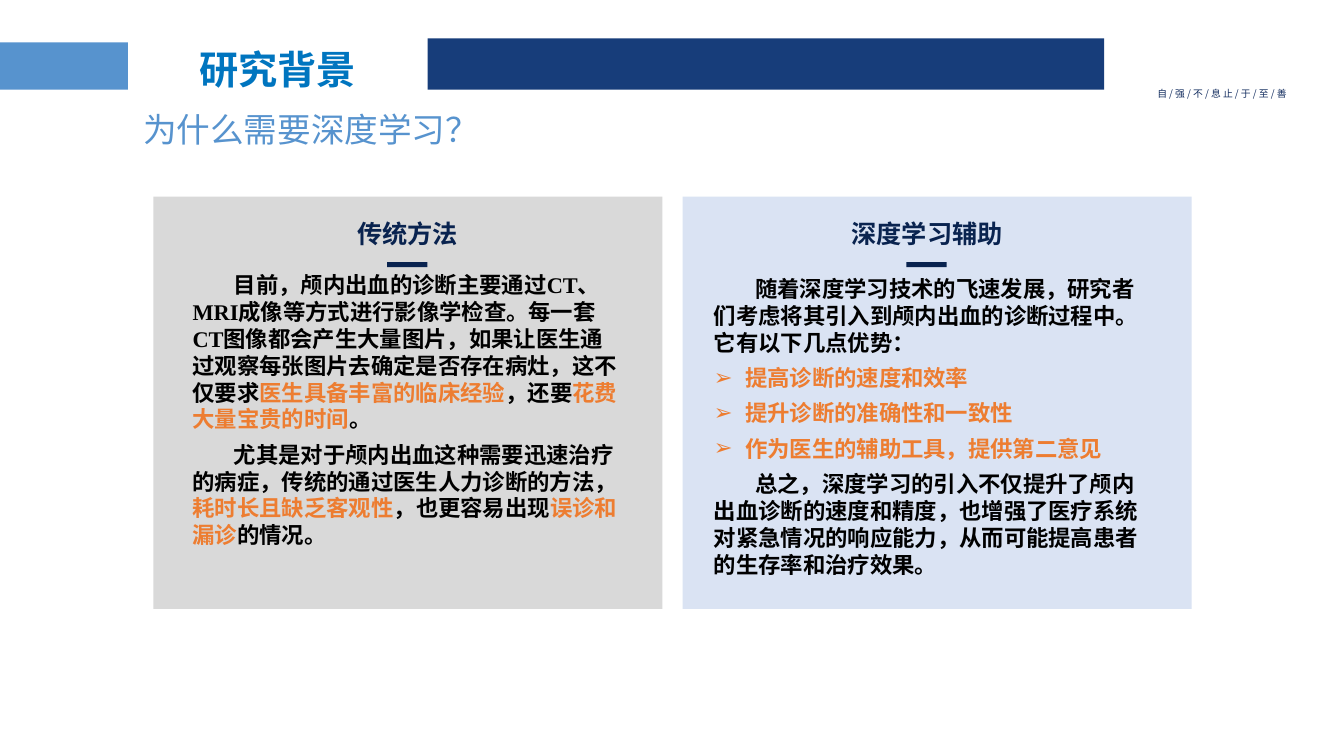
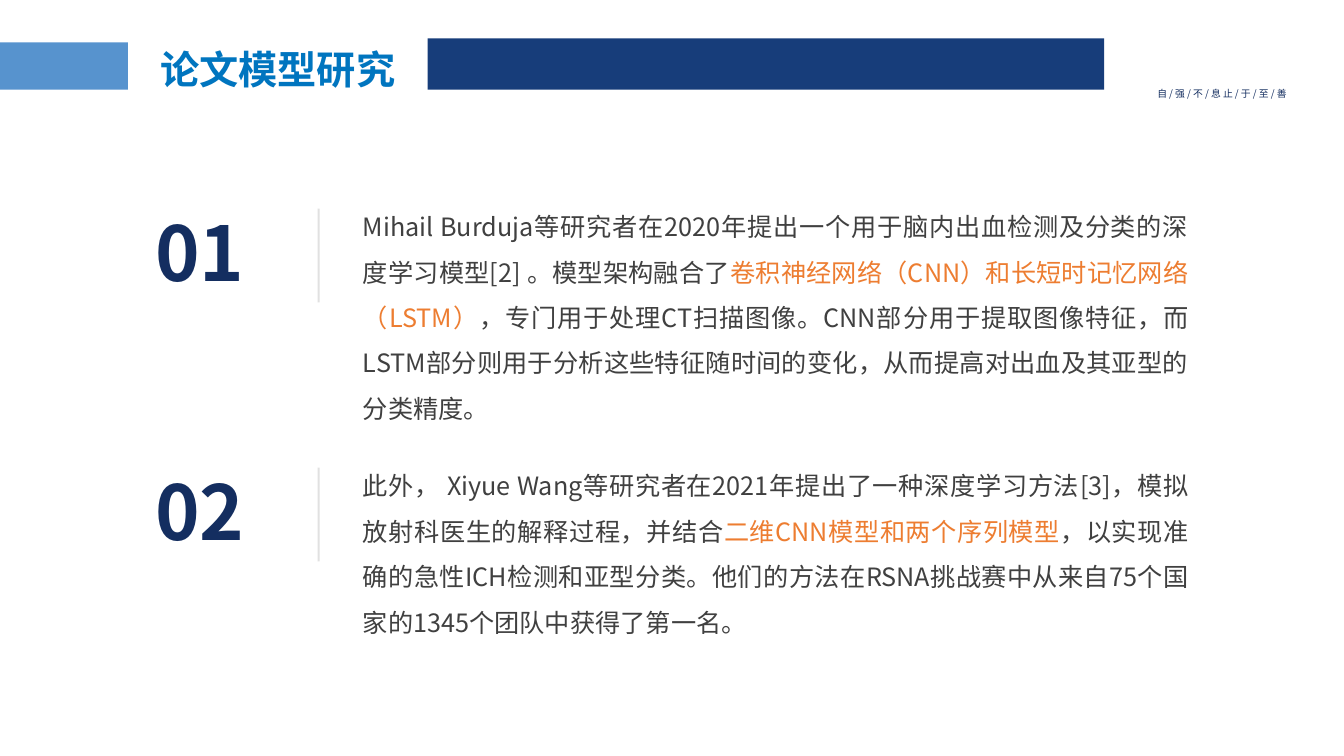
"""Build two slides on deep learning for intracranial haemorrhage diagnosis."""
from dataclasses import dataclass
from typing import NamedTuple

from lxml import etree
from pptx import Presentation
from pptx import util as u
from pptx.dml.color import RGBColor
from pptx.enum import shapes, text
from pptx.oxml import ns

PX = 9144
SANS, SERIF = "Noto Sans CJK SC", "Times New Roman"
COLORS = {
    "band": "173D7A", "tab": "5793CE", "title": "0075BF", "motto": "142E60",
    "heading": "09234F", "grey": "D9D9D9", "pale": "DAE3F3", "rule": "A5A5A5",
    "black": "000000", "body": "404040", "orange": "ED7D31",
}
LEFT, CENTER, JUSTIFY = text.PP_ALIGN.LEFT, text.PP_ALIGN.CENTER, text.PP_ALIGN.JUSTIFY
RECT, ROUND = shapes.MSO_SHAPE.RECTANGLE, shapes.MSO_SHAPE.ROUNDED_RECTANGLE


class Area(NamedTuple):
    """Left, top, width and height in px."""
    left: int
    top: int
    width: int
    height: int

    def emu(self) -> list:
        """Return the four lengths in EMU."""
        return [u.Emu(value * PX) for value in self]


class Span(NamedTuple):
    """A piece of text in one colour."""
    words: str
    color: str


@dataclass(frozen=True)
class Para:
    """Spans of one paragraph with its margin, first-line indent and bullet."""
    spans: tuple
    margin: int = 0
    indent: int = 0
    bullet: str = ""


@dataclass(frozen=True)
class Style:
    """Text format of a whole box."""
    size: int
    font: str = SANS
    bold: bool = False
    align: text.PP_ALIGN = LEFT
    line: float = 1.0
    before: int = 0
    inset: int = 10
    anchor: text.MSO_ANCHOR = text.MSO_ANCHOR.TOP


@dataclass(frozen=True)
class Panel:
    """A coloured column with a heading and its text."""
    left: int
    fill: str
    axis: int
    heading: str
    heading_width: int
    area: Area
    paras: tuple


@dataclass(frozen=True)
class Study:
    """A numbered study and the height of its text."""
    number: str
    height: int
    spans: tuple


TITLE = Style(28, bold=True, align=CENTER, line=0.9)
SUBTITLE = Style(24, line=0.9)
MOTTO = Style(7)
HEADING = Style(18, bold=True, align=CENTER, anchor=text.MSO_ANCHOR.MIDDLE)
PANEL_TEXT = Style(16, SERIF, True, before=6)
NUMBER = Style(54, bold=True)
STUDY_TEXT = Style(18, align=JUSTIFY, line=1.5, inset=0)


def plain(words: str, color: str) -> tuple:
    """Return a single paragraph of one colour."""
    return (Para((Span(words, color),)),)


def indented(*spans: Span) -> Para:
    """Return a paragraph with an indented first line."""
    return Para(spans, indent=41)


def arrow_item(words: str) -> Para:
    """Return an orange list item with an arrow bullet."""
    return Para((Span(words, "orange"),), margin=31, indent=-31, bullet="➢")


PANELS = (
    Panel(152, "grey", 404, "传统方法", 143, Area(181, 264, 447, 288), (
        indented(
            Span("目前，颅内出血的诊断主要通过CT、MRI成像等方式进行影像学检查。每一套CT图像都会产生"
                 "大量图片，如果让医生通过观察每张图片去确定是否存在病灶，这不仅要求", "black"),
            Span("医生具备丰富的临床经验", "orange"), Span("，还要", "black"),
            Span("花费大量宝贵的时间", "orange"), Span("。", "black")),
        indented(
            Span("尤其是对于颅内出血这种需要迅速治疗的病症，传统的通过医生人力诊断的方法，", "black"),
            Span("耗时长且缺乏客观性", "orange"), Span("，也更容易出现", "black"),
            Span("误诊和漏诊", "orange"), Span("的情况。", "black")),
    )),
    Panel(677, "pale", 919, "深度学习辅助", 213, Area(698, 268, 444, 313), (
        indented(Span("随着深度学习技术的飞速发展，研究者们考虑将其引入到颅内出血的诊断过程中。"
                      "它有以下几点优势：", "black")),
        arrow_item("提高诊断的速度和效率"),
        arrow_item("提升诊断的准确性和一致性"),
        arrow_item("作为医生的辅助工具，提供第二意见"),
        indented(Span("总之，深度学习的引入不仅提升了颅内出血诊断的速度和精度，也增强了医疗系统"
                      "对紧急情况的响应能力，从而可能提高患者的生存率和治疗效果。", "black")),
    )),
)
STUDIES = (
    Study("01", 232, (
        Span("Mihail Burduja等研究者在2020年提出一个用于脑内出血检测及分类的深度学习模型[2] 。"
             "模型架构融合了", "body"),
        Span("卷积神经网络（CNN）和长短时记忆网络（LSTM）", "orange"),
        Span("，专门用于处理CT扫描图像。CNN部分用于提取图像特征，而LSTM部分则用于分析这些特征"
             "随时间的变化，从而提高对出血及其亚型的分类精度。", "body"))),
    Study("02", 187, (
        Span("此外， Xiyue Wang等研究者在2021年提出了一种深度学习方法[3]，模拟放射科医生的"
             "解释过程，并结合", "body"),
        Span("二维CNN模型和两个序列模型", "orange"),
        Span("，以实现准确的急性ICH检测和亚型分类。他们的方法在RSNA挑战赛中从来自75个国家的"
             "1345个团队中获得了第一名。", "body"))),
)


def rgb(name: str) -> RGBColor:
    """Look up a named colour."""
    return RGBColor.from_string(COLORS[name])


def write(box, paras: tuple, style: Style) -> None:
    """Fill a box with formatted paragraphs."""
    frame = box.text_frame
    frame.word_wrap = True
    frame.auto_size = text.MSO_AUTO_SIZE.NONE
    frame.vertical_anchor = style.anchor
    frame.margin_left = style.inset * PX
    for index, para in enumerate(paras):
        line = frame.paragraphs[0] if index == 0 else frame.add_paragraph()
        props = line._p.get_or_add_pPr()
        props.set("marL", str(para.margin * PX))
        props.set("indent", str(para.indent * PX))
        if para.bullet:
            etree.SubElement(props, ns.qn("a:buChar")).set("char", para.bullet)
        else:
            etree.SubElement(props, ns.qn("a:buNone"))
        line.alignment = style.align
        line.line_spacing = style.line
        line.space_before = u.Pt(style.before if index else 0)
        line.space_after = u.Pt(0)
        for span in para.spans:
            run = line.add_run()
            run.text = span.words
            run.font.size = u.Pt(style.size)
            run.font.bold = style.bold
            run.font.name = style.font
            run.font.color.rgb = rgb(span.color)
            run_props = run._r.get_or_add_rPr()
            run_props.set("lang", "zh-CN")
            etree.SubElement(run_props, ns.qn("a:ea")).set("typeface", SANS)


def add_text(page, area: Area, words: str, color: str, style: Style):
    """Add a text box holding one paragraph."""
    box = page.shapes.add_textbox(*area.emu())
    write(box, plain(words, color), style)
    return box


def add_block(page, area: Area, fill: str):
    """Add a plain filled rectangle."""
    block = page.shapes.add_shape(RECT, *area.emu())
    block.shadow.inherit = False
    block.fill.solid()
    block.fill.fore_color.rgb = rgb(fill)
    block.line.fill.background()
    return block


def fill_placeholder(page, box, area: Area, paras: tuple, style: Style) -> None:
    """Move a placeholder to its area, in front, and write into it."""
    box.left, box.top, box.width, box.height = area.emu()
    write(box, paras, style)
    page.shapes.element.append(box.element)


def add_page(deck, layout, title: str):
    """Add a slide with its title set."""
    page = deck.slides.add_slide(layout)
    fill_placeholder(page, page.shapes.title, Area(134, 45, 283, 39),
                     plain(title, "title"), TITLE)
    return page


def dress_layout(layout, page) -> None:
    """Put the shared bands and motto on the layout."""
    for holder in list(layout.placeholders):
        if holder.placeholder_format.idx >= 10:
            layout.shapes.element.remove(holder.element)
    for item in (
        add_block(page, Area(424, 38, 671, 51), "band"),
        add_block(page, Area(0, 42, 127, 47), "tab"),
        add_text(page, Area(1138, 82, 173, 22), "自 / 强 / 不 / 息 止 / 于 / 至 / 善",
                 "motto", MOTTO),
    ):
        layout.shapes.element.append(item.element)


def add_panel(page, panel: Panel, body) -> None:
    """Draw one column with heading, accent bar and text."""
    add_block(page, Area(panel.left, 195, 505, 409), panel.fill)
    width = panel.heading_width
    pill = page.shapes.add_shape(ROUND, *Area(panel.axis - width // 2, 211, width, 42).emu())
    pill.adjustments[0] = 0.5
    pill.shadow.inherit = False
    pill.fill.background()
    pill.line.fill.background()
    write(pill, plain(panel.heading, "heading"), HEADING)
    add_block(page, Area(panel.axis - 20, 260, 40, 5), "heading")
    fill_placeholder(page, body, panel.area, panel.paras, PANEL_TEXT)


def add_study(page, study: Study, top: int, body) -> None:
    """Draw one numbered study with its divider and text."""
    add_text(page, Area(144, top + 9, 113, 101), study.number, "motto", NUMBER)
    ends = [u.Emu(value * PX) for value in (316, top + 17, 316, top + 110)]
    rule = page.shapes.add_connector(shapes.MSO_CONNECTOR.STRAIGHT, *ends)
    rule.line.width = u.Pt(1.5)
    rule.line.color.rgb = rgb("rule")
    tint = rule.element.find(".//" + ns.qn("a:srgbClr"))
    etree.SubElement(tint, ns.qn("a:alpha")).set("val", "32000")
    etree.SubElement(rule.element.spPr, ns.qn("a:effectLst"))
    fill_placeholder(page, body, Area(360, top, 829, study.height),
                     (Para(study.spans),), STUDY_TEXT)


def main() -> None:
    """Build and save the deck."""
    deck = Presentation()
    deck.slide_width, deck.slide_height = u.Emu(1333 * PX), u.Emu(750 * PX)
    layout = deck.slide_layouts.get_by_name("Two Content")

    background = add_page(deck, layout, "研究背景")
    dress_layout(layout, background)
    add_text(background, Area(132, 108, 342, 36), "为什么需要深度学习？", "tab", SUBTITLE)
    for index, panel in enumerate(PANELS, start=1):
        body = next(box for box in background.placeholders
                    if box.placeholder_format.idx == index)
        add_panel(background, panel, body)

    models = add_page(deck, layout, "论文模型研究")
    for index, study in enumerate(STUDIES, start=1):
        body = next(box for box in models.placeholders
                    if box.placeholder_format.idx == index)
        add_study(models, study, 190 + 257 * (index - 1), body)

    deck.save("out.pptx")


if __name__ == "__main__":
    main()
